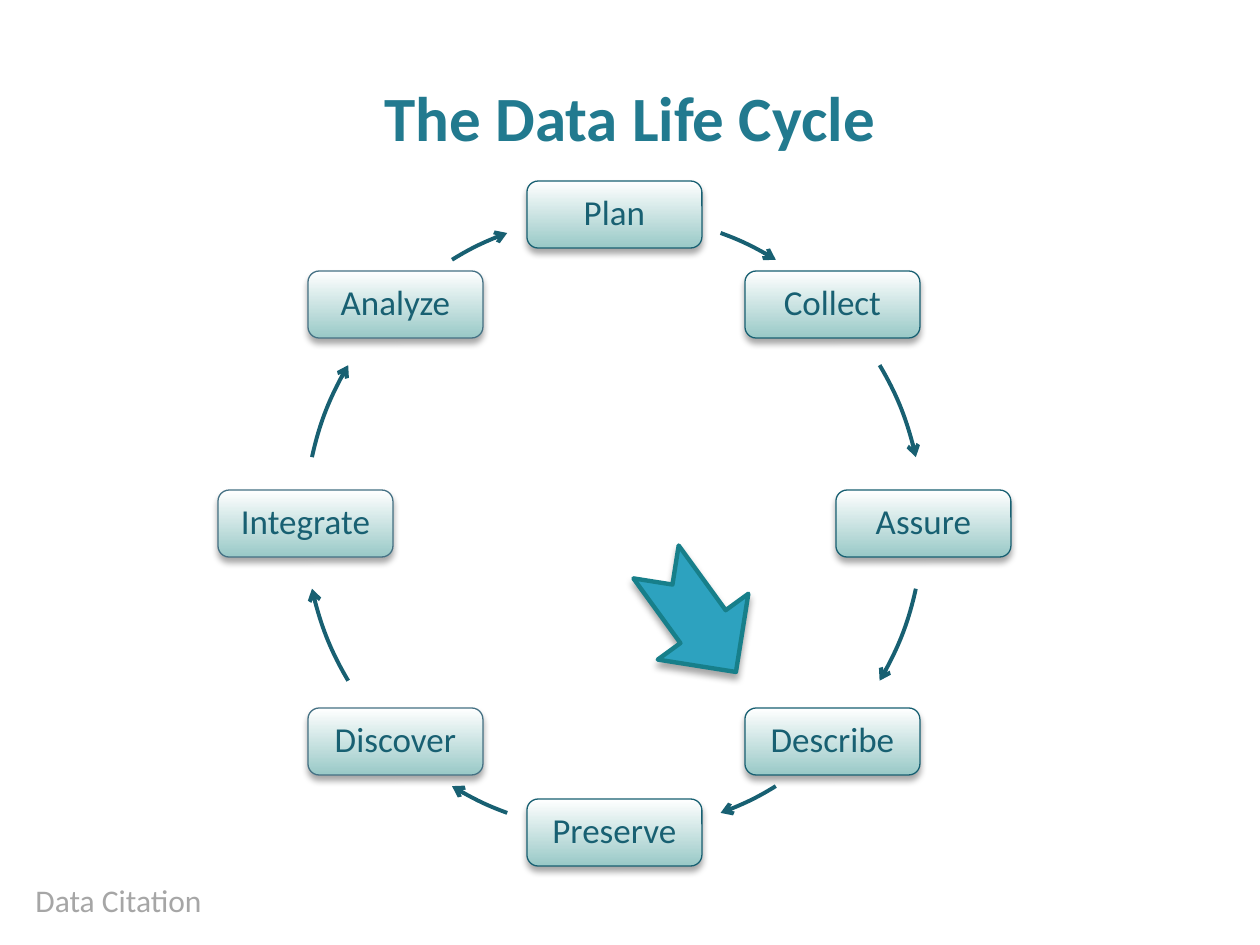
"""Builds the slide showing the data life cycle as a ring of eight steps."""
import math

import lxml.etree
import pptx
import pptx.dml.color
import pptx.enum.shapes
import pptx.enum.text
import pptx.oxml
import pptx.oxml.ns
import pptx.util

PX = 914400 // 126
CENTER_X, CENTER_Y, RADIUS = 614, 523, 309
BOX_WIDTH, BOX_HEIGHT = 175, 67
DARK = "186072"
STEPS = ["Plan", "Collect", "Assure", "Describe", "Preserve", "Discover", "Integrate", "Analyze"]
ARCS = [(20.2, 31.6), (59.3, 77.7), (102.3, 120.7), (148.4, 159.8)]
ALIGN = pptx.enum.text.PP_ALIGN
MIDDLE = pptx.enum.text.MSO_ANCHOR.MIDDLE
SHAPE = pptx.enum.shapes.MSO_SHAPE
SHADOW = (
    f'<a:outerShdw {pptx.oxml.ns.nsdecls("a")} blurRad="50800" dist="38100" dir="5400000" rotWithShape="0">'
    '<a:srgbClr val="000000"><a:alpha val="35000"/></a:srgbClr></a:outerShdw>'
)


def color(value):
    return pptx.dml.color.RGBColor.from_string(value)


def write(frame, text, size, shade, align, bold=False):
    frame.word_wrap = True
    para = frame.paragraphs[0]
    para.alignment = align
    span = para.add_run()
    span.text = text
    span.font.name = "Calibri"
    span.font.size = pptx.util.Pt(size)
    span.font.bold = bold
    span.font.color.rgb = color(shade)


deck = pptx.Presentation()
deck.slide_width = 1260 * PX
deck.slide_height = 945 * PX
page = deck.slides.add_slide(deck.slide_layouts[6])

footer = page.shapes.add_textbox(23 * PX, 875 * PX, 527 * PX, 50 * PX)
write(footer.text_frame, "Data Citation", 18, "A6A6A6", ALIGN.LEFT)

title = page.shapes.add_textbox(63 * PX, 38 * PX, 1134 * PX, 157 * PX)
title.text_frame.vertical_anchor = MIDDLE
write(title.text_frame, "The Data Life Cycle", 36, "227A8F", ALIGN.CENTER, bold=True)

shadowed = []
for index, step in enumerate(STEPS):
    angle = math.radians(index * 360 / len(STEPS))
    left = math.floor(CENTER_X + RADIUS * math.sin(angle) - BOX_WIDTH / 2 + 0.5)
    top = math.floor(CENTER_Y - RADIUS * math.cos(angle) - BOX_HEIGHT / 2 + 0.5)
    box = page.shapes.add_shape(SHAPE.ROUNDED_RECTANGLE, left * PX, top * PX, BOX_WIDTH * PX, BOX_HEIGHT * PX)
    box.fill.gradient()
    box.fill.gradient_angle = 270
    for stop, shade, position in zip(box.fill.gradient_stops, ("FFFFFF", "99C9C7"), (0, 1)):
        stop.color.rgb = color(shade)
        stop.position = position
    box.line.color.rgb = color(DARK if index < 5 else "457184")
    box.line.width = pptx.util.Pt(0.75)
    frame = box.text_frame
    frame.margin_left = frame.margin_right = frame.margin_top = frame.margin_bottom = 10 * PX
    frame.vertical_anchor = MIDDLE
    write(frame, step, 20, DARK, ALIGN.CENTER)
    frame.paragraphs[0].line_spacing = 0.9
    shadowed.append(box)

for start, end in ARCS + [(first + 180, last + 180) for first, last in ARCS]:
    first, last = math.radians(start), math.radians(end)
    handle = 4 / 3 * math.tan((last - first) / 4)
    points = []
    for angle, reach in ((first, 0), (first, handle), (last, -handle), (last, 0)):
        across = math.sin(angle) + reach * math.cos(angle)
        down = -math.cos(angle) + reach * math.sin(angle)
        points.append((round((CENTER_X + RADIUS * across) * PX), round((CENTER_Y + RADIUS * down) * PX)))
    builder = page.shapes.build_freeform(*points[0])
    builder.add_line_segments(points[1:], close=False)
    for corner in (-RADIUS, RADIUS):
        builder.move_to((CENTER_X + corner) * PX, (CENTER_Y + corner) * PX)
    arc = builder.convert_to_shape()
    arc.shadow.inherit = False
    arc.fill.background()
    arc.line.color.rgb = color(DARK)
    arc.line.width = pptx.util.Pt(2.25)
    for move in list(arc.element.iter(pptx.oxml.ns.qn("a:moveTo")))[1:]:
        move.getparent().remove(move)
    segments = list(arc.element.iter(pptx.oxml.ns.qn("a:lnTo")))
    curve = lxml.etree.SubElement(segments[0].getparent(), pptx.oxml.ns.qn("a:cubicBezTo"))
    for segment in segments:
        curve.append(segment[0])
        segment.getparent().remove(segment)
    outline = arc.element.spPr.find(pptx.oxml.ns.qn("a:ln"))
    lxml.etree.SubElement(outline, pptx.oxml.ns.qn("a:tailEnd"), type="arrow")

pointer = page.shapes.add_shape(SHAPE.NOTCHED_RIGHT_ARROW, 628 * PX, 561 * PX, 136 * PX, 112 * PX)
pointer.rotation = 54
pointer.fill.solid()
pointer.fill.fore_color.rgb = color("2DA2BF")
pointer.line.color.rgb = color("177F8A")
pointer.line.width = pptx.util.Pt(2.5)
shadowed.append(pointer)

for shape in shadowed:
    shape.shadow.inherit = False
    effects = shape.element.spPr.find(pptx.oxml.ns.qn("a:effectLst"))
    effects.append(pptx.oxml.parse_xml(SHADOW))

deck.save("out.pptx")
